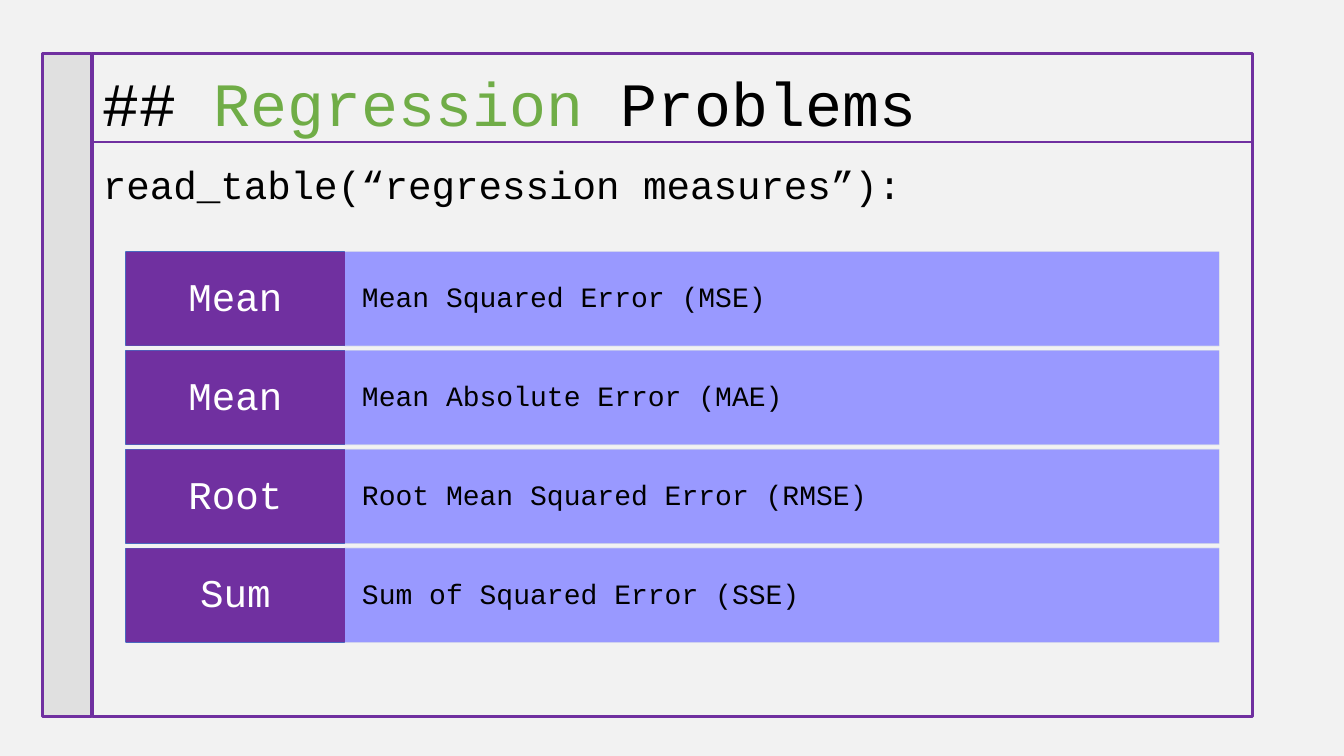
from lxml.etree import SubElement
from pptx import Presentation
from pptx.dml.color import RGBColor
from pptx.enum.shapes import MSO_CONNECTOR, MSO_SHAPE
from pptx.enum.text import MSO_ANCHOR, MSO_AUTO_SIZE, PP_ALIGN
from pptx.oxml.ns import qn
from pptx.util import Inches, Pt

FONT = "Courier New"
PURPLE = "7030A0"
LILAC = "9999FF"
BLACK = "000000"
ROWS = [
    ("Mean", "Mean Squared Error (MSE)"),
    ("Mean", "Mean Absolute Error (MAE)"),
    ("Root", "Root Mean Squared Error (RMSE)"),
    ("Sum", "Sum of Squared Error (SSE)"),
]
TOP, STEP, HEIGHT = 2.5, 0.98, 0.93


def color(code):
    return RGBColor.from_string(code)


def write(frame, runs, size, align=PP_ALIGN.LEFT, anchor=MSO_ANCHOR.MIDDLE):
    frame.word_wrap = True
    frame.auto_size = MSO_AUTO_SIZE.NONE
    frame.vertical_anchor = anchor
    para = frame.paragraphs[0]
    para.alignment = align
    para.line_spacing = 0.9
    para.space_before = Pt(0)
    for text, code in runs:
        run = para.add_run()
        run.text = text
        run.font.name = FONT
        run.font.size = Pt(size)
        run.font.color.rgb = color(code)


def place(holder, left, top, width, height):
    holder.left, holder.top = Inches(left), Inches(top)
    holder.width, holder.height = Inches(width), Inches(height)


def add_rect(shapes, box, fill=None, line=None, weight=1):
    rect = shapes.add_shape(MSO_SHAPE.RECTANGLE, *map(Inches, box))
    rect.shadow.inherit = False
    if fill:
        rect.fill.solid()
        rect.fill.fore_color.rgb = color(fill)
    else:
        rect.fill.background()
    if line:
        rect.line.color.rgb = color(line)
        rect.line.width = Pt(weight)
    else:
        rect.line.fill.background()
    return rect


def add_rule(shapes, left, right, top):
    rule = shapes.add_connector(
        MSO_CONNECTOR.STRAIGHT, Inches(left), Inches(top), Inches(right), Inches(top))
    rule.line.color.rgb = color(PURPLE)
    rule.line.width = Pt(1.5)
    SubElement(rule._element.spPr, qn("a:effectLst"))


def add_cell(shapes, box, fill, line, text, ink, size, align, inset):
    group = shapes.add_group_shape()
    edge = add_rect(group.shapes, box, fill, line)
    label = add_rect(group.shapes, box, fill)
    frame = label.text_frame
    frame.margin_left = frame.margin_right = Inches(inset[0])
    frame.margin_top = frame.margin_bottom = Inches(inset[1])
    write(frame, [(text, ink)], size, align)
    return edge


def fade(shape, percent):
    tint = shape.line._ln.find(".//" + qn("a:srgbClr"))
    SubElement(tint, qn("a:alpha")).set("val", str(percent * 1000))


def add_row(shapes, top, name, measure):
    edge = add_cell(shapes, (3.42, top, 8.67, HEIGHT), LILAC, "CFD5EA",
                    measure, BLACK, 20, PP_ALIGN.LEFT, (0.17, 0.24))
    fade(edge, 90)
    add_cell(shapes, (1.25, top, 2.17, HEIGHT), PURPLE, "4472C4",
             name, "FFFFFF", 28, PP_ALIGN.CENTER, (0.11, 0.09))


def main():
    deck = Presentation()
    deck.slide_width, deck.slide_height = Inches(13.33), Inches(7.5)
    slide = deck.slides.add_slide(deck.slide_layouts[1])
    back = slide.background.fill
    back.solid()
    back.fore_color.rgb = color("F2F2F2")
    shapes = slide.shapes

    title, body = shapes.title, slide.placeholders[1]
    place(title, 0.92, 0.33, 11.5, 1.45)
    write(title.text_frame,
          [("## ", BLACK), ("Regression", "70AD47"), (" Problems", BLACK)], 44)
    place(body, 0.92, 1.59, 11.5, 5.5)
    props = body.text_frame.paragraphs[0]._p.get_or_add_pPr()
    props.set("marL", "0")
    props.set("indent", "0")
    SubElement(props, qn("a:buNone"))
    write(body.text_frame, [("read_table(“regression measures”):", BLACK)], 28,
          anchor=MSO_ANCHOR.TOP)

    add_rect(shapes, (0.92, 0.53, 11.5, 6.58), line=PURPLE, weight=2.25)
    add_rect(shapes, (0.42, 0.53, 0.49, 6.58), "E0E0E0", PURPLE, 2.25)
    add_rule(shapes, 0.92, 12.42, 1.41)
    for index, (name, measure) in enumerate(ROWS):
        add_row(shapes, TOP + index * STEP, name, measure)
    deck.save("out.pptx")


if __name__ == "__main__":
    main()
